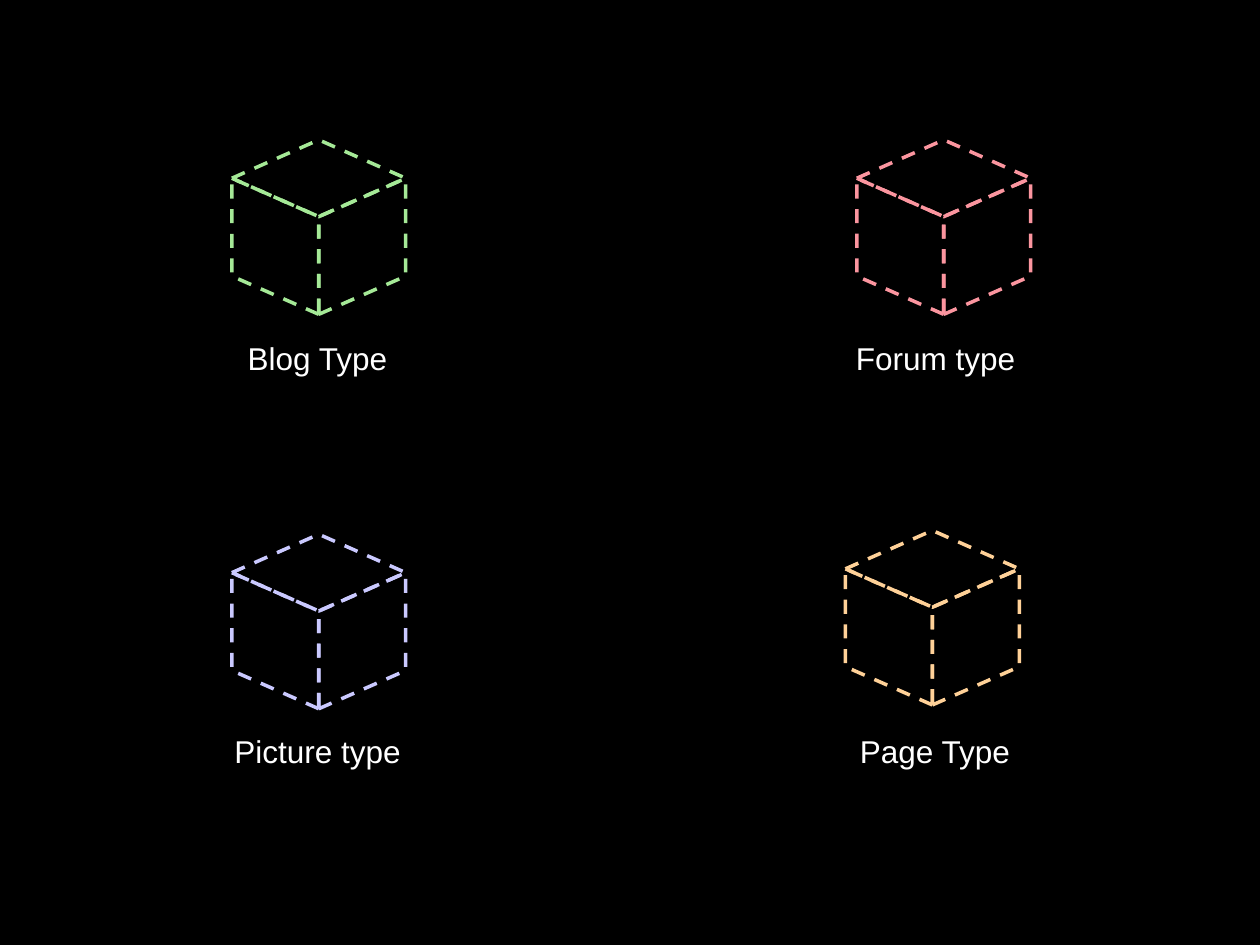
from dataclasses import dataclass

from pptx import Presentation
from pptx.dml.color import RGBColor
from pptx.enum.dml import MSO_LINE
from pptx.enum.shapes import MSO_SHAPE as Preset
from pptx.enum.text import MSO_AUTO_SIZE as AutoSize, PP_ALIGN as Align
from pptx.shapes.autoshape import Shape
from pptx.shapes.group import GroupShape
from pptx.slide import Slide
from pptx.util import Inches, Pt

TOP_WIDTH, TOP_HEIGHT = 1.38, 0.61
SIDE_LENGTH, SIDE_WIDTH = 1.08, TOP_WIDTH / 2
SIDE_DROP = 0.5
SIDE_SLANT = 0.44
LABEL_HEIGHT = 0.4


@dataclass(frozen=True)
class ContentType:
    label: str
    label_left: float
    label_top: float
    label_width: float
    cube_left: float
    cube_top: float
    color: str


CONTENT_TYPES = [
    ContentType("Blog Type", 1.27, 2.64, 2.5, 1.84, 1.11, "A5E997"),
    ContentType("Forum type", 5.98, 2.64, 2.89, 6.8, 1.11, "FB959F"),
    ContentType("Picture type", 1.06, 5.76, 2.92, 1.84, 4.24, "CAC9FF"),
    ContentType("Page Type", 6.48, 5.76, 1.88, 6.71, 4.21, "FFD198"),
]


def rgb(color: str) -> RGBColor:
    return RGBColor.from_string(color)


def add_face(cube: GroupShape, preset: Preset, left: float, top: float,
             width: float, height: float, color: str) -> Shape:
    face = cube.shapes.add_shape(
        preset, Inches(left), Inches(top), Inches(width), Inches(height))
    face.shadow.inherit = False
    face.fill.background()
    face.line.color.rgb = rgb(color)
    face.line.width = Pt(2)
    face.line.dash_style = MSO_LINE.DASH
    return face


def add_cube(slide: Slide, left: float, top: float, color: str) -> None:
    cube = slide.shapes.add_group_shape()
    first_side_left = left + (SIDE_WIDTH - SIDE_LENGTH) / 2
    for index, rotation in enumerate((270, 90)):
        side = add_face(cube, Preset.PARALLELOGRAM,
                        first_side_left + index * SIDE_WIDTH, top + SIDE_DROP,
                        SIDE_LENGTH, SIDE_WIDTH, color)
        side.adjustments[0] = SIDE_SLANT
        side.rotation = rotation
        if rotation == 90:
            side.element.spPr.xfrm.set("flipH", "1")
    add_face(cube, Preset.DIAMOND, left, top, TOP_WIDTH, TOP_HEIGHT, color)


def add_label(slide: Slide, content_type: ContentType) -> None:
    label = slide.shapes.add_textbox(
        Inches(content_type.label_left), Inches(content_type.label_top),
        Inches(content_type.label_width), Inches(LABEL_HEIGHT))
    text_frame = label.text_frame
    text_frame.word_wrap = True
    text_frame.auto_size = AutoSize.SHAPE_TO_FIT_TEXT
    text_frame.text = content_type.label
    paragraph = text_frame.paragraphs[0]
    paragraph.alignment = Align.CENTER
    font = paragraph.runs[0].font
    font.name = "Arial"
    font.size = Pt(18)
    font.color.rgb = rgb("FFFFFF")


def main() -> None:
    presentation = Presentation()
    presentation.slide_width = Inches(10)
    presentation.slide_height = Inches(7.5)
    slide = presentation.slides.add_slide(presentation.slide_layouts[6])
    background = slide.background.fill
    background.solid()
    background.fore_color.rgb = rgb("000000")
    for content_type in CONTENT_TYPES:
        add_label(slide, content_type)
        add_cube(slide, content_type.cube_left, content_type.cube_top,
                 content_type.color)
    presentation.save("out.pptx")


if __name__ == "__main__":
    main()
